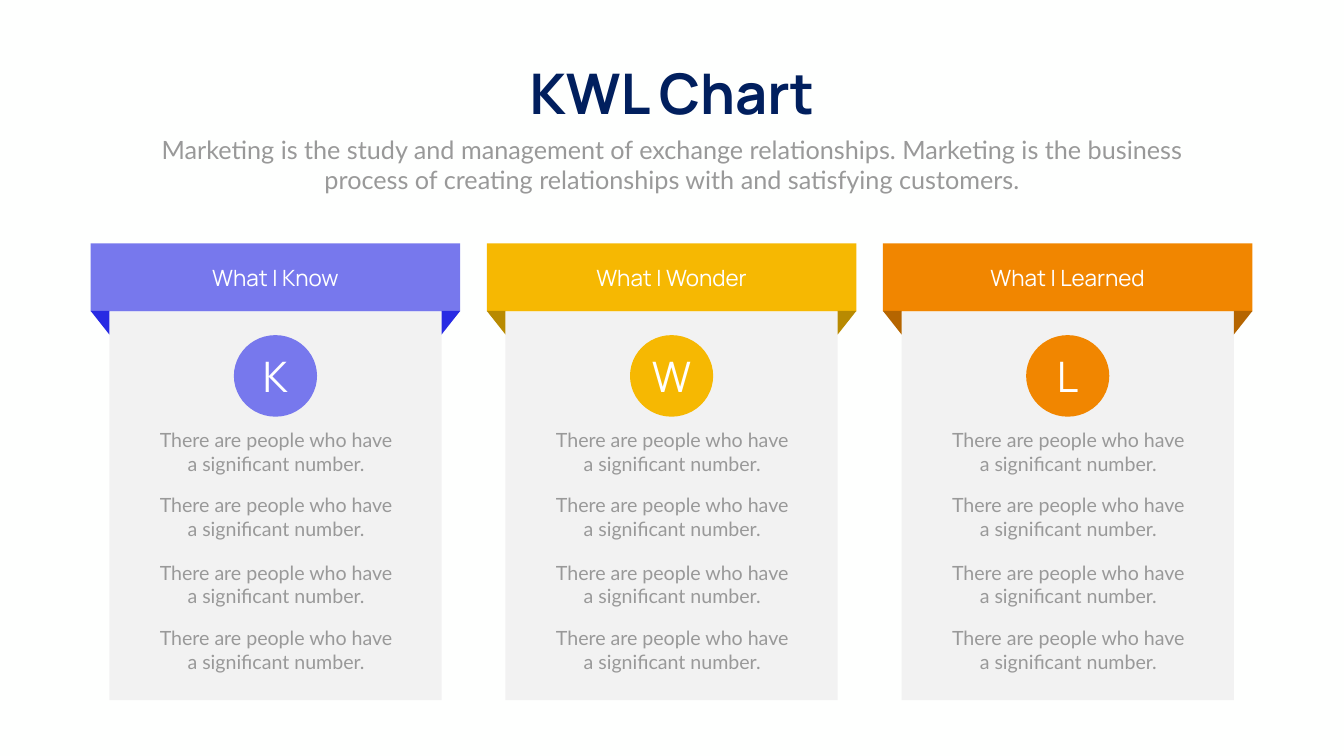
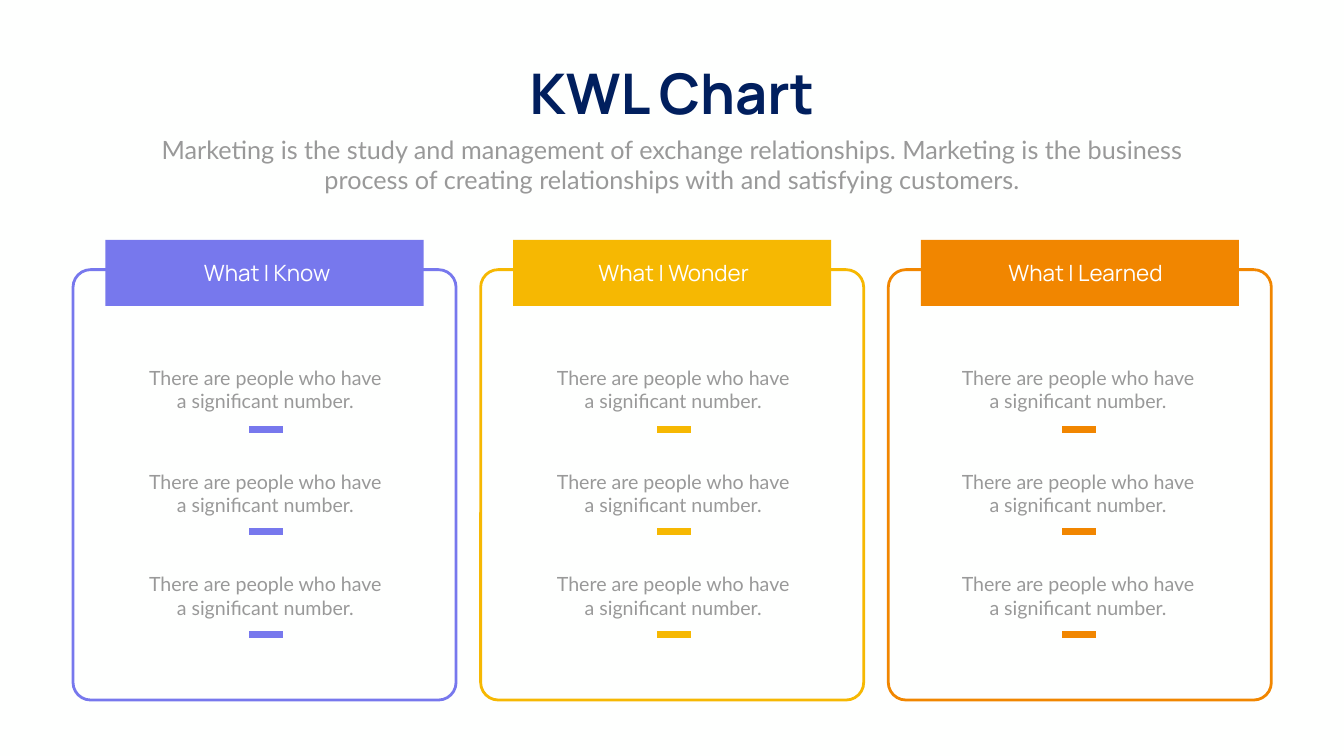
import pptx
import pptx.dml.color
import pptx.enum.shapes
import pptx.enum.text
import pptx.oxml
import pptx.oxml.ns
import pptx.util

Cm = pptx.util.Cm
Pt = pptx.util.Pt
SHAPE = pptx.enum.shapes.MSO_SHAPE
WIDTH, HEIGHT = 67.72, 38.1
HEAD_FONT, BODY_FONT = "Manrope", "Lato"
BACKGROUND, NAVY, GREY, PANEL, WHITE = "FEFFFE", "011F5E", "999999", "F2F2F2", "FFFFFF"

TITLE = "KWL Chart"
SUBTITLE = ("Marketing is the study and management of exchange relationships. "
            "Marketing is the business process of creating relationships with "
            "and satisfying customers.")
POINT = "There are people who have a significant number."

# letter, label, label width, colour, fold colour
COLUMNS = [
    ("K", "What I Know", 9.5, "7778ED", "282AE3"),
    ("W", "What I Wonder", 12.12, "F6B802", "B88A01"),
    ("L", "What I Learned", 11.2, "F18600", "B56500"),
]


def rgb(color):
    return pptx.dml.color.RGBColor.from_string(color)


class Deck:
    """Holds the style and the current slide; elements are placed by centre x and top, in cm."""

    def __init__(self):
        self.prs = pptx.Presentation()
        self.prs.slide_width, self.prs.slide_height = Cm(WIDTH), Cm(HEIGHT)
        self.s = None

    def new_slide(self):
        self.s = self.prs.slides.add_slide(self.prs.slide_layouts[6])
        self.s.background.fill.solid()
        self.s.background.fill.fore_color.rgb = rgb(BACKGROUND)
        self.text(TITLE, WIDTH / 2, 2.84, 15.88, 3.68, 80, HEAD_FONT, NAVY, bold=True, wrap=False)
        self.text(SUBTITLE, WIDTH / 2, 6.63, 52.88, 3.33, 36, BODY_FONT, GREY)

    def add_run(self, tf, text, size, font, color, bold=False):
        p = tf.paragraphs[0]
        p.alignment = pptx.enum.text.PP_ALIGN.CENTER
        r = p.add_run()
        r.text = text
        r.font.size, r.font.name, r.font.bold = Pt(size), font, bold
        r.font.color.rgb = rgb(color)

    def text(self, text, cx, top, w, h, size, font, color, bold=False, wrap=True):
        tf = self.s.shapes.add_textbox(Cm(cx - w / 2), Cm(top), Cm(w), Cm(h)).text_frame
        tf.word_wrap = wrap
        tf.auto_size = pptx.enum.text.MSO_AUTO_SIZE.SHAPE_TO_FIT_TEXT
        self.add_run(tf, text, size, font, color, bold)

    def label(self, text, cx, top, w):
        self.text(text, cx, top, w, 1.63, 32, HEAD_FONT, WHITE)

    def point(self, cx, top):
        self.text(POINT, cx, top, 12.73, 2.64, 28, BODY_FONT, GREY)

    def shape(self, kind, cx, top, w, h, fill):
        sp = self.s.shapes.add_shape(kind, Cm(cx - w / 2), Cm(top), Cm(w), Cm(h))
        sp.shadow.inherit = False
        sp.fill.solid()
        sp.fill.fore_color.rgb = rgb(fill)
        sp.line.fill.background()
        return sp

    def fold(self, cx, top, color, left):
        """Ribbon fold under a banner, pointing down at its inner edge."""
        sp = self.shape(SHAPE.RIGHT_TRIANGLE, cx, top, 0.94, 1.19, color)
        xfrm = sp.element.spPr.xfrm
        xfrm.set("flipV", "1")
        if left:
            xfrm.set("flipH", "1")

    def badge(self, letter, cx, top, color):
        sp = self.shape(SHAPE.OVAL, cx, top, 4.19, 4.11, color)
        sp.text_frame.vertical_anchor = pptx.enum.text.MSO_ANCHOR.MIDDLE
        self.add_run(sp.text_frame, letter, 60, HEAD_FONT, WHITE)

    def frame(self, cx, top, w, h, color):
        sp = self.shape(SHAPE.ROUNDED_RECTANGLE, cx, top, w, h, WHITE)
        sp.adjustments[0] = 0.046
        sp.fill.background()
        sp.line.color.rgb = rgb(color)
        sp.line.width = Pt(4)

    def dash(self, cx, y, w, color):
        line = self.s.shapes.add_connector(
            pptx.enum.shapes.MSO_CONNECTOR.STRAIGHT,
            Cm(cx - w / 2), Cm(y), Cm(cx + w / 2), Cm(y))
        line.line.color.rgb = rgb(color)
        line.line.width = Pt(10)
        line.element.spPr.append(pptx.oxml.parse_xml(
            f"<a:effectLst {pptx.oxml.ns.nsdecls('a')}/>"))


def ribbon_slide(deck):
    deck.new_slide()
    for i, (letter, label, label_w, color, dark) in enumerate(COLUMNS):
        cx = 13.88 + i * 19.96
        deck.shape(SHAPE.RECTANGLE, cx, 12.27, 18.62, 3.43, color)
        deck.shape(SHAPE.RECTANGLE, cx, 15.7, 16.74, 19.58, PANEL)
        for side in (-1, 1):
            deck.fold(cx + side * 8.84, 15.67, dark, left=side < 0)
        deck.badge(letter, cx, 16.89, color)
        deck.label(label, cx, 13.18, label_w)
        for top in (21.46, 24.74, 28.14, 31.42):
            deck.point(cx + 0.03, top)


def frame_slide(deck):
    deck.new_slide()
    label_centres = (13.46, 33.95, 54.7)
    point_centres = (13.37, 33.92, 54.32)
    rows = ((18.31, 21.67), (23.55, 26.8), (28.7, 32))
    for i, (_, label, label_w, color, _) in enumerate(COLUMNS):
        cx = 13.33 + i * 20.54
        deck.frame(cx, 13.59, 19.3, 21.69, color)
        deck.shape(SHAPE.RECTANGLE, cx, 12.09, 16.03, 3.33, color)
        deck.label(label, label_centres[i], 12.95, label_w)
        for top, dash_y in rows:
            deck.point(point_centres[i], top)
            deck.dash(point_centres[i] + 0.04, dash_y, 1.68, color)


def main():
    deck = Deck()
    ribbon_slide(deck)
    frame_slide(deck)
    deck.prs.save("out.pptx")


if __name__ == "__main__":
    main()
